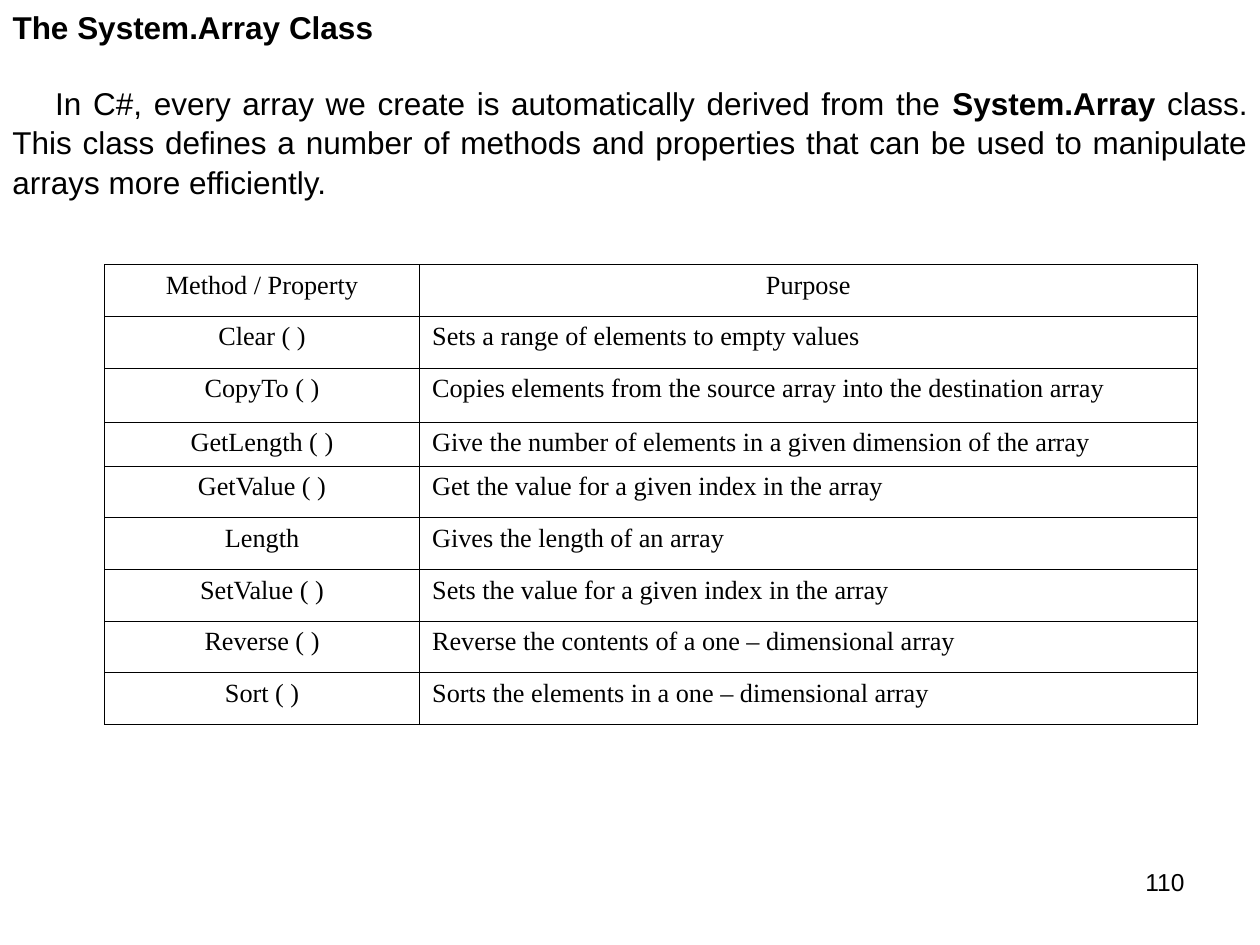
"""Build the slide on the System.Array class and its members."""
import pptx
import pptx.dml.color
import pptx.enum.text
import pptx.oxml
import pptx.oxml.ns
import pptx.util

Inches = pptx.util.Inches
Pt = pptx.util.Pt
ALIGN = pptx.enum.text.PP_ALIGN
ANCHOR = pptx.enum.text.MSO_ANCHOR
COLORS = {"text": "000000", "border": "000000"}
ROWS = [
    ("Method / Property", "Purpose"),
    ("Clear ( )", "Sets a range of elements to empty values"),
    ("CopyTo ( )", "Copies elements from the source array into the destination array"),
    ("GetLength ( )", "Give the number of elements in a given dimension of the array"),
    ("GetValue ( )", "Get the value for a given index in the array"),
    ("Length", "Gives the length of an array"),
    ("SetValue ( )", "Sets the value for a given index in the array"),
    ("Reverse ( )", "Reverse the contents of a one – dimensional array"),
    ("Sort ( )", "Sorts the elements in a one – dimensional array"),
]
HEIGHTS = [0.41, 0.41, 0.43, 0.35] + [0.41] * 5


def style(p, size, name, align):
    p.alignment = align
    p.font.size = Pt(size)
    p.font.name = name
    p.font.color.rgb = pptx.dml.color.RGBColor.from_string(COLORS["text"])


def add_borders(cell):
    tcPr = cell._tc.get_or_add_tcPr()
    for side in "LRTB":
        tcPr.append(pptx.oxml.parse_xml(
            f'<a:ln{side} {pptx.oxml.ns.nsdecls("a")} w="{Pt(0.45)}"><a:solidFill>'
            f'<a:srgbClr val="{COLORS["border"]}"/></a:solidFill></a:ln{side}>'))


prs = pptx.Presentation()
prs.slide_width, prs.slide_height = Inches(10), Inches(7.5)
s = prs.slides.add_slide(prs.slide_layouts[5])

title = s.shapes.title
title.left, title.top, title.width, title.height = Inches(0), Inches(0), Inches(10), Inches(0.4)
tf = title.text_frame
tf.auto_size = pptx.enum.text.MSO_AUTO_SIZE.NONE
tf.vertical_anchor = ANCHOR.TOP
p = tf.paragraphs[0]
p.text = "The System.Array Class"
p.line_spacing = 1.05
style(p, 18, "Arial", ALIGN.LEFT)
p.font.bold = True

sp = s.shapes.add_textbox(Inches(0), Inches(0.6), Inches(10), Inches(1))
tf = sp.text_frame
tf.word_wrap = True
p = tf.paragraphs[0]
p.line_spacing = 1.05
p._p.get_or_add_pPr().set("indent", str(Inches(0.34)))
style(p, 18, "Arial", ALIGN.JUSTIFY)
p.add_run().text = "In C#, every array we create is automatically derived from the "
r = p.add_run()
r.text = "System.Array"
r.font.bold = True
p.add_run().text = (" class. This class defines a number of methods and properties "
                    "that can be used to manipulate arrays more efficiently.")

table = s.shapes.add_table(len(ROWS), 2, Inches(0.83), Inches(2.1),
                           Inches(8.67), Inches(sum(HEIGHTS))).table
table.first_row = table.horz_banding = False
table.columns[0].width, table.columns[1].width = Inches(2.5), Inches(6.17)
for i, (texts, height) in enumerate(zip(ROWS, HEIGHTS)):
    table.rows[i].height = Inches(height)
    for j, text in enumerate(texts):
        cell = table.cell(i, j)
        add_borders(cell)
        cell.fill.background()
        p = cell.text_frame.paragraphs[0]
        p.text = text
        style(p, 15, "Times New Roman", ALIGN.CENTER if i == 0 or j == 0 else ALIGN.LEFT)

sp = s.shapes.add_textbox(Inches(7.17), Inches(6.83), Inches(2.33), Inches(0.52))
sp.text_frame.word_wrap = True
p = sp.text_frame.paragraphs[0]
p.text = "110"
style(p, 14, "Arial", ALIGN.RIGHT)

prs.save("out.pptx")
